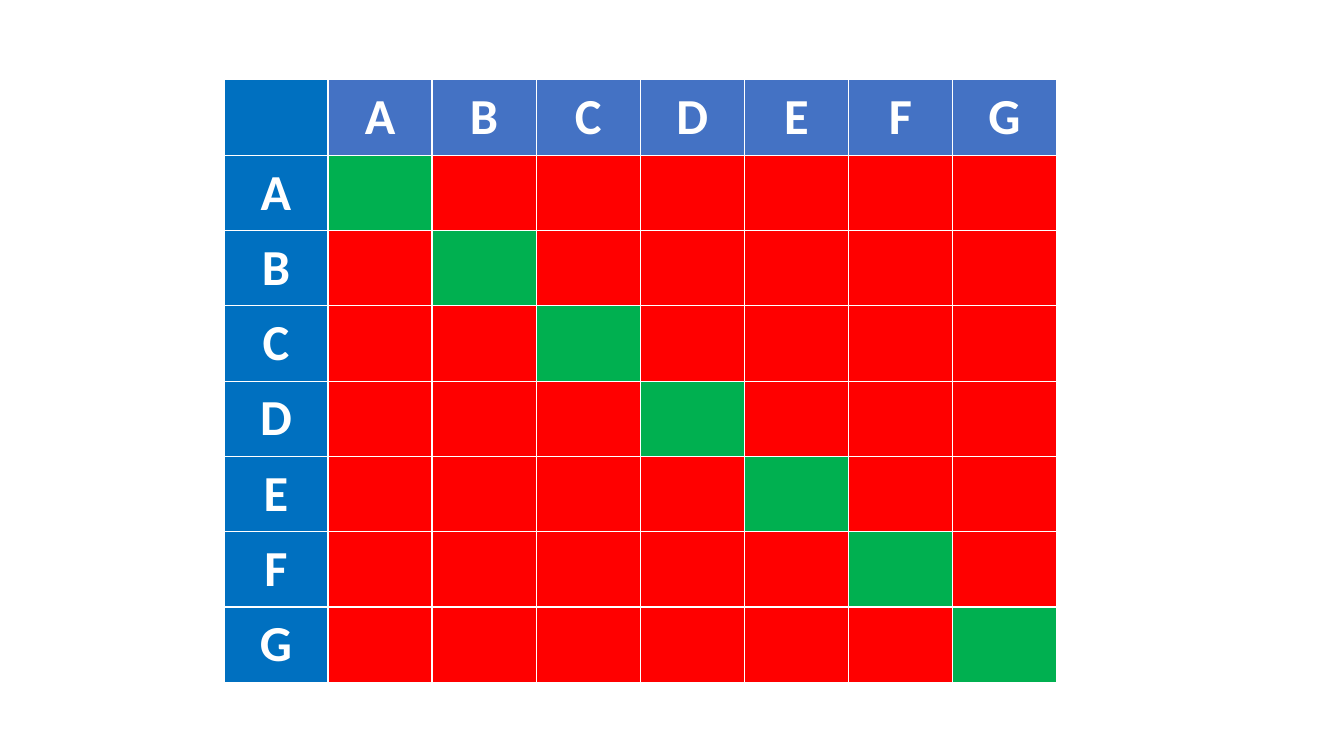
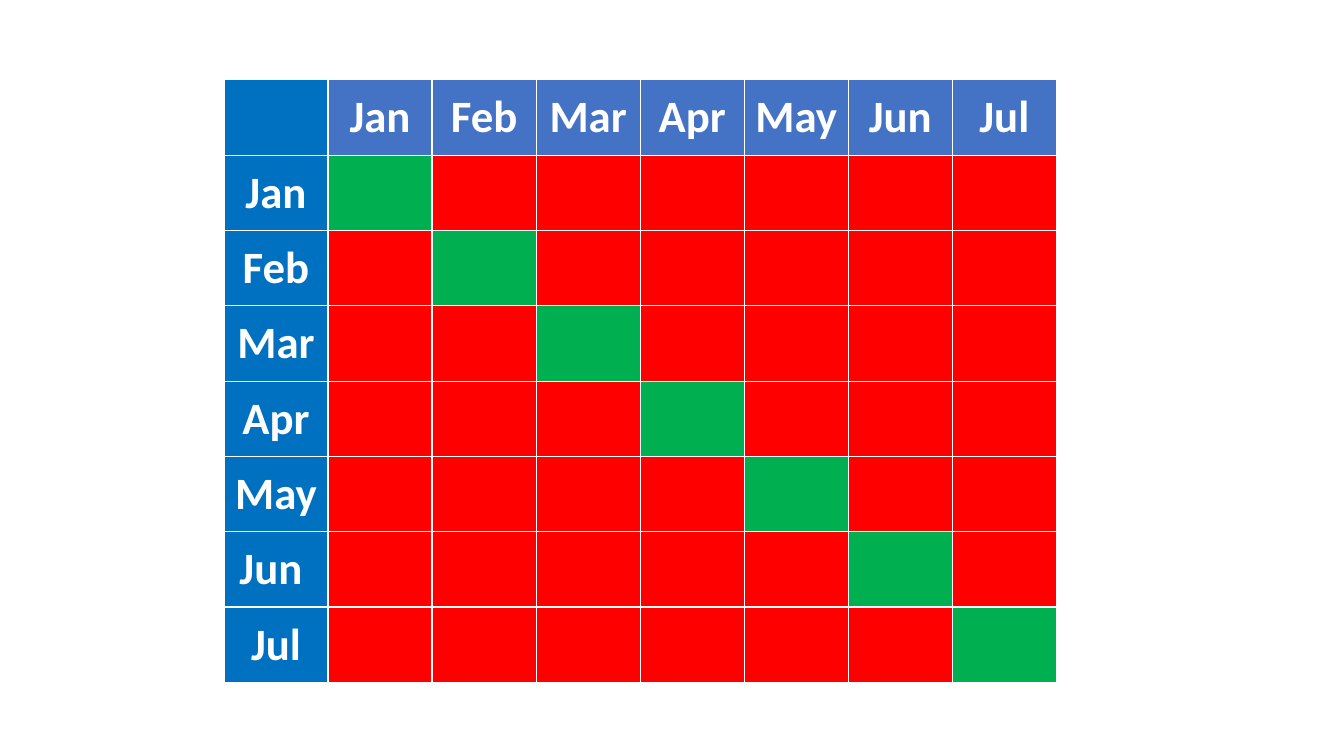
from pptx import Presentation
from pptx.dml.color import RGBColor
from pptx.enum.text import MSO_ANCHOR, PP_ALIGN
from pptx.util import Pt

WHITE = "FFFFFF"
HEADER_BLUE = "4472C4"
SIDE_BLUE = "0070C0"
MATCH_GREEN = "00B050"
OTHER_RED = "FF0000"

LEFT, TOP = 160, 57
COLUMN_WIDTH, ROW_HEIGHT = 74.34, 53.82

MATRICES = [
    (36, "ABCDEFG", "ABCDEFG"),
    (
        32,
        ["Jan", "Feb", "Mar", "Apr", "May", "Jun", "Jul"],
        ["Jan", "Feb", "Mar", "Apr", "May", "Jun ", "Jul"],
    ),
]


def color(hex_string):
    return RGBColor.from_string(hex_string)


def write_label(cell, text, size):
    cell.vertical_anchor = MSO_ANCHOR.MIDDLE
    paragraph = cell.text_frame.paragraphs[0]
    paragraph.text = text
    paragraph.alignment = PP_ALIGN.CENTER
    paragraph.font.name = "Calibri"
    paragraph.font.size = Pt(size)
    paragraph.font.bold = True
    paragraph.font.color.rgb = color(WHITE)


presentation = Presentation()
presentation.slide_width = Pt(960)
presentation.slide_height = Pt(540)
blank_layout = presentation.slide_layouts[6]

for size, column_labels, row_labels in MATRICES:
    slide = presentation.slides.add_slide(blank_layout)
    count = len(column_labels) + 1
    table = slide.shapes.add_table(
        count, count, Pt(LEFT), Pt(TOP), Pt(COLUMN_WIDTH * count), Pt(ROW_HEIGHT * count)
    ).table
    table.first_col = True

    for row in range(count):
        for column in range(count):
            if column == 0:
                fill_color = SIDE_BLUE
            elif row == 0:
                fill_color = HEADER_BLUE
            elif row == column:
                fill_color = MATCH_GREEN
            else:
                fill_color = OTHER_RED
            cell = table.cell(row, column)
            cell.fill.solid()
            cell.fill.fore_color.rgb = color(fill_color)

    for index, (column_label, row_label) in enumerate(zip(column_labels, row_labels), 1):
        write_label(table.cell(0, index), column_label, size)
        write_label(table.cell(index, 0), row_label, size)

presentation.save("out.pptx")
